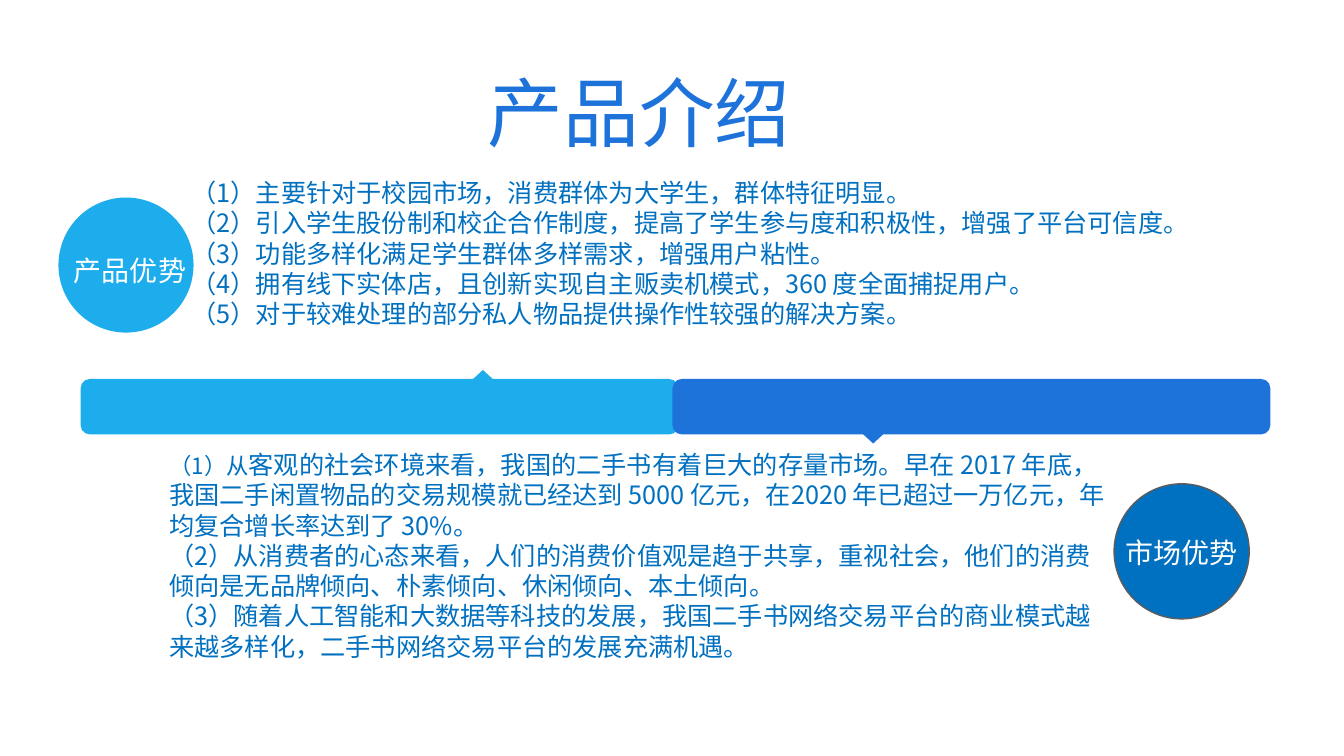
"""Build the product introduction slide with product and market advantages."""
from lxml.etree import SubElement
from pptx import Presentation
from pptx.dml.color import RGBColor
from pptx.enum.shapes import MSO_SHAPE
from pptx.enum.text import MSO_AUTO_SIZE, PP_ALIGN
from pptx.oxml.ns import qn
from pptx.util import Inches, Pt

FONT = "Noto Sans CJK SC"
COLORS = {"sky": "1DADEC", "royal": "1D73DA", "ocean": "0070C0", "grey": "5C5C5C", "white": "FFFFFF"}

TITLE = "产品介绍"
PRODUCT_POINTS = [
    "（1）主要针对于校园市场，消费群体为大学生，群体特征明显。",
    "（2）引入学生股份制和校企合作制度，提高了学生参与度和积极性，增强了平台可信度。",
    "（3）功能多样化满足学生群体多样需求，增强用户粘性。",
    "（4）拥有线下实体店，且创新实现自主贩卖机模式，360 度全面捕捉用户。",
    "（5）对于较难处理的部分私人物品提供操作性较强的解决方案。",
]
MARKET_LEAD = "（1）从"
MARKET_POINTS = [
    "客观的社会环境来看，我国的二手书有着巨大的存量市场。早在 2017 年底，我国二手闲置物品的交易规模就已经达到 5000 亿元，在2020 年已超过一万亿元，年均复合增长率达到了 30%。",
    "（2）从消费者的心态来看，人们的消费价值观是趋于共享，重视社会，他们的消费倾向是无品牌倾向、朴素倾向、休闲倾向、本土倾向。",
    "（3）随着人工智能和大数据等科技的发展，我国二手书网络交易平台的商业模式越来越多样化，二手书网络交易平台的发展充满机遇。",
]
BAR_TOP, BAR_WIDTH, BAR_HEIGHT = 3.76, 5.93, 0.55
BARS = [
    {"left": 0.8, "color": "sky", "pointer": (4.66, 3.67), "turn": 0},
    {"left": 6.67, "color": "royal", "pointer": (8.53, 4.28), "turn": 180},
]
BADGE_SIZE = 1.34
BADGES = [
    {"at": (0.58, 1.96), "color": "sky", "line": None, "label": "产品优势", "label_box": (0.66, 2.45, 1.26, 0.37)},
    {"at": (11.05, 4.8), "color": "ocean", "line": "grey", "label": "市场优势", "label_box": (11.12, 5.25, 1.2, 0.35)},
]


def rgb(color):
    return RGBColor.from_string(COLORS[color])


def add_figure(slide, preset, box, color, line=None):
    figure = slide.shapes.add_shape(preset, *map(Inches, box))
    figure.shadow.inherit = False
    figure.fill.solid()
    figure.fill.fore_color.rgb = rgb(color)
    if line:
        figure.line.color.rgb = rgb(line)
        figure.line.width = Pt(1)
    else:
        figure.line.fill.background()
    return figure


def add_text(slide, box, lines, size, color, align=None, spacing=None, inset=True):
    frame = slide.shapes.add_textbox(*map(Inches, box)).text_frame
    frame.word_wrap = True
    if not inset:
        frame.margin_left = frame.margin_right = frame.margin_top = frame.margin_bottom = 0
    for index, line in enumerate(lines):
        paragraph = frame.paragraphs[0] if index == 0 else frame.add_paragraph()
        parts = [line] if isinstance(line, str) else line
        for part in parts:
            paragraph.add_run().text = part
        paragraph.alignment = align
        paragraph.line_spacing = spacing
        font = paragraph.font
        font.size = Pt(size)
        font.color.rgb = rgb(color)
        font.name = FONT
        SubElement(font._element, qn("a:ea")).set("typeface", FONT)
    return frame


def main():
    deck = Presentation()
    deck.slide_width, deck.slide_height = Inches(13.33), Inches(7.5)
    slide = deck.slides.add_slide(deck.slide_layouts[6])

    for bar in BARS:
        add_figure(slide, MSO_SHAPE.ROUNDED_RECTANGLE,
                   (bar["left"], BAR_TOP, BAR_WIDTH, BAR_HEIGHT), bar["color"])
        pointer = add_figure(slide, MSO_SHAPE.ISOSCELES_TRIANGLE,
                             (*bar["pointer"], 0.26, 0.12), bar["color"])
        pointer.rotation = bar["turn"]

    for badge in BADGES:
        add_figure(slide, MSO_SHAPE.OVAL, (*badge["at"], BADGE_SIZE, BADGE_SIZE),
                   badge["color"], badge["line"])
        label = add_text(slide, badge["label_box"], [badge["label"]], 20, "white",
                         PP_ALIGN.CENTER, 1.2, inset=False)
        label.auto_size = MSO_AUTO_SIZE.SHAPE_TO_FIT_TEXT

    add_text(slide, (1.9, 1.76, 10.56, 1.91), PRODUCT_POINTS, 18, "ocean", inset=False)
    market = add_text(slide, (1.68, 4.46, 9.34, 2.73),
                      [(MARKET_LEAD, MARKET_POINTS[0]), *MARKET_POINTS[1:]], 18, "ocean", inset=False)
    market.paragraphs[0].runs[0].font.size = Pt(16)

    title = add_text(slide, (4.74, 0.42, 3.23, 1.15), [TITLE], 54, "royal", spacing=1.2)
    title.word_wrap = False
    title.auto_size = MSO_AUTO_SIZE.SHAPE_TO_FIT_TEXT

    deck.save("out.pptx")


if __name__ == "__main__":
    main()
